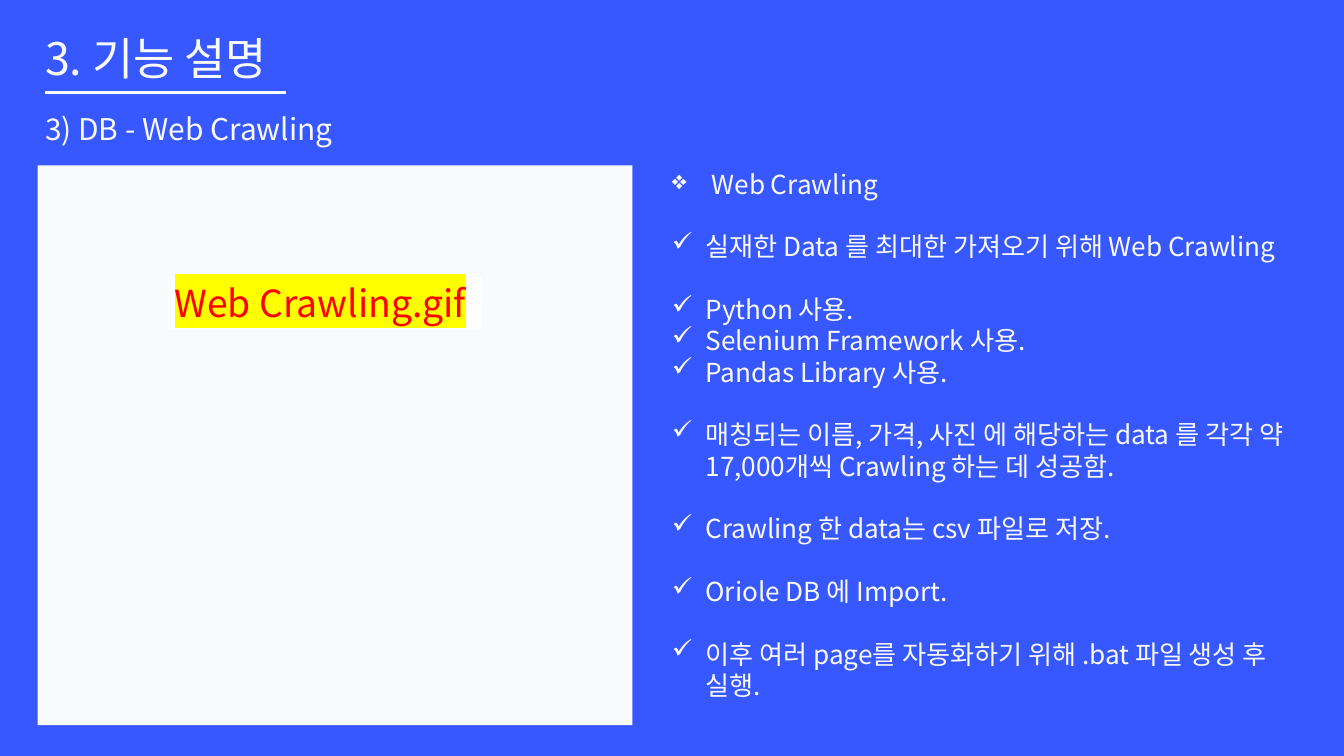
from lxml import etree
from pptx import Presentation
from pptx.dml.color import RGBColor
from pptx.enum.shapes import MSO_CONNECTOR, MSO_SHAPE
from pptx.enum.text import MSO_ANCHOR, PP_ALIGN
from pptx.oxml.ns import qn
from pptx.util import Inches, Pt

RECT = MSO_SHAPE.RECTANGLE
STRAIGHT = MSO_CONNECTOR.STRAIGHT
LEFT = PP_ALIGN.LEFT
TOP = MSO_ANCHOR.TOP

BLUE = RGBColor(0x38, 0x58, 0xFF)
PALE = RGBColor(0xF9, 0xFA, 0xFB)
WHITE = RGBColor(0xFF, 0xFF, 0xFF)
RED = RGBColor(0xFF, 0x00, 0x00)
YELLOW = RGBColor(0xFF, 0xFF, 0x00)

FONT = "Noto Sans CJK KR"
BODY_SIZE = 28
GROUP_GAP = Pt(33.5)

# Each group is set off by one line of space; items are (bullet, indent, text).
CHECK, DIAMOND = ("✓", 0.5), ("❖", 0.59)
GROUPS = [
    (DIAMOND, ["Web Crawling"]),
    (CHECK, ["실재한 Data 를 최대한 가져오기 위해 Web Crawling"]),
    (CHECK, ["Python 사용.", "Selenium Framework 사용.", "Pandas Library 사용."]),
    (CHECK, ["매칭되는 이름, 가격, 사진 에 해당하는 data 를 각각 "
             "약 17,000개씩 Crawling 하는 데 성공함."]),
    (CHECK, ["Crawling 한 data는 csv 파일로 저장."]),
    (CHECK, ["Oriole DB 에 Import."]),
    (CHECK, ["이후 여러 page를 자동화하기 위해 .bat 파일 생성 후 실행."]),
]


def add_run(p, text, size, color=PALE):
    r = p.add_run()
    r.text = text
    for name, value in {"size": Pt(size), "name": FONT}.items():
        setattr(r.font, name, value)
    r.font.color.rgb = color
    etree.SubElement(r.font._element, qn("a:ea"), typeface=FONT)
    return r


def highlight(r, color):
    mark = etree.Element(qn("a:highlight"))
    etree.SubElement(mark, qn("a:srgbClr"), val=str(color))
    r.font._element.find(qn("a:solidFill")).addnext(mark)


def set_bullet(p, char, indent):
    pPr = p._p.get_or_add_pPr()
    pPr.set("marL", str(Inches(indent)))
    pPr.set("indent", str(-Inches(indent)))
    etree.SubElement(pPr, qn("a:buChar"), char=char)


def add_text_frame(slide, x, y, w, h):
    box = slide.shapes.add_textbox(Inches(x), Inches(y), Inches(w), Inches(h))
    tf = box.text_frame
    tf.word_wrap = True
    for side in ("left", "top", "right", "bottom"):
        setattr(tf, f"margin_{side}", 0)
    return tf


def add_rect(slide, x, y, w, h, color):
    s = slide.shapes.add_shape(RECT, Inches(x), Inches(y), Inches(w), Inches(h))
    s.shadow.inherit = False
    s.fill.solid()
    s.fill.fore_color.rgb = color
    s.line.fill.background()
    return s


def add_heading(slide, x, y, w):
    tf = add_text_frame(slide, x, y, w, 0.81)
    add_run(tf.paragraphs[0], "3. 기능 설명", 48)
    rule_y = Inches(y + 0.92)
    rule = slide.shapes.add_connector(STRAIGHT, Inches(x), rule_y,
                                      Inches(x + 3.58), rule_y)
    rule.line.color.rgb = WHITE
    rule.line.width = Pt(3)
    etree.SubElement(rule._element.spPr, qn("a:effectLst"))
    tf = add_text_frame(slide, x, y + 1.19, w, 0.54)
    add_run(tf.paragraphs[0], "3) DB - Web Crawling", 32)


def add_demo_panel(slide, x, y, w, h):
    add_rect(slide, x, y, w, h, PALE)
    label = add_rect(slide, x + 1.94, y + 1.66, 4.67, 0.77, WHITE)
    tf = label.text_frame
    tf.word_wrap = True
    tf.vertical_anchor = TOP
    p = tf.paragraphs[0]
    p.alignment = LEFT
    highlight(add_run(p, "Web Crawling.gif", 40, RED), YELLOW)


def add_notes_list(slide, x, y, w, h):
    tf = add_text_frame(slide, x, y, w, h)
    p = tf.paragraphs[0]
    for g, ((char, indent), items) in enumerate(GROUPS):
        for i, text in enumerate(items):
            if g or i:
                p = tf.add_paragraph()
            if g and i == 0:
                p.space_before = GROUP_GAP
            set_bullet(p, char, indent)
            add_run(p, text, BODY_SIZE)


def main():
    prs = Presentation()
    prs.slide_width, prs.slide_height = Inches(20), Inches(11.25)
    slide = prs.slides.add_slide(prs.slide_layouts[6])
    slide.background.fill.solid()
    slide.background.fill.fore_color.rgb = BLUE
    add_heading(slide, 0.67, 0.46, 8.5)
    add_demo_panel(slide, 0.56, 2.46, 8.85, 8.33)
    add_notes_list(slide, 10, 2.5, 9.44, 8.01)
    prs.save("out.pptx")


if __name__ == "__main__":
    main()
